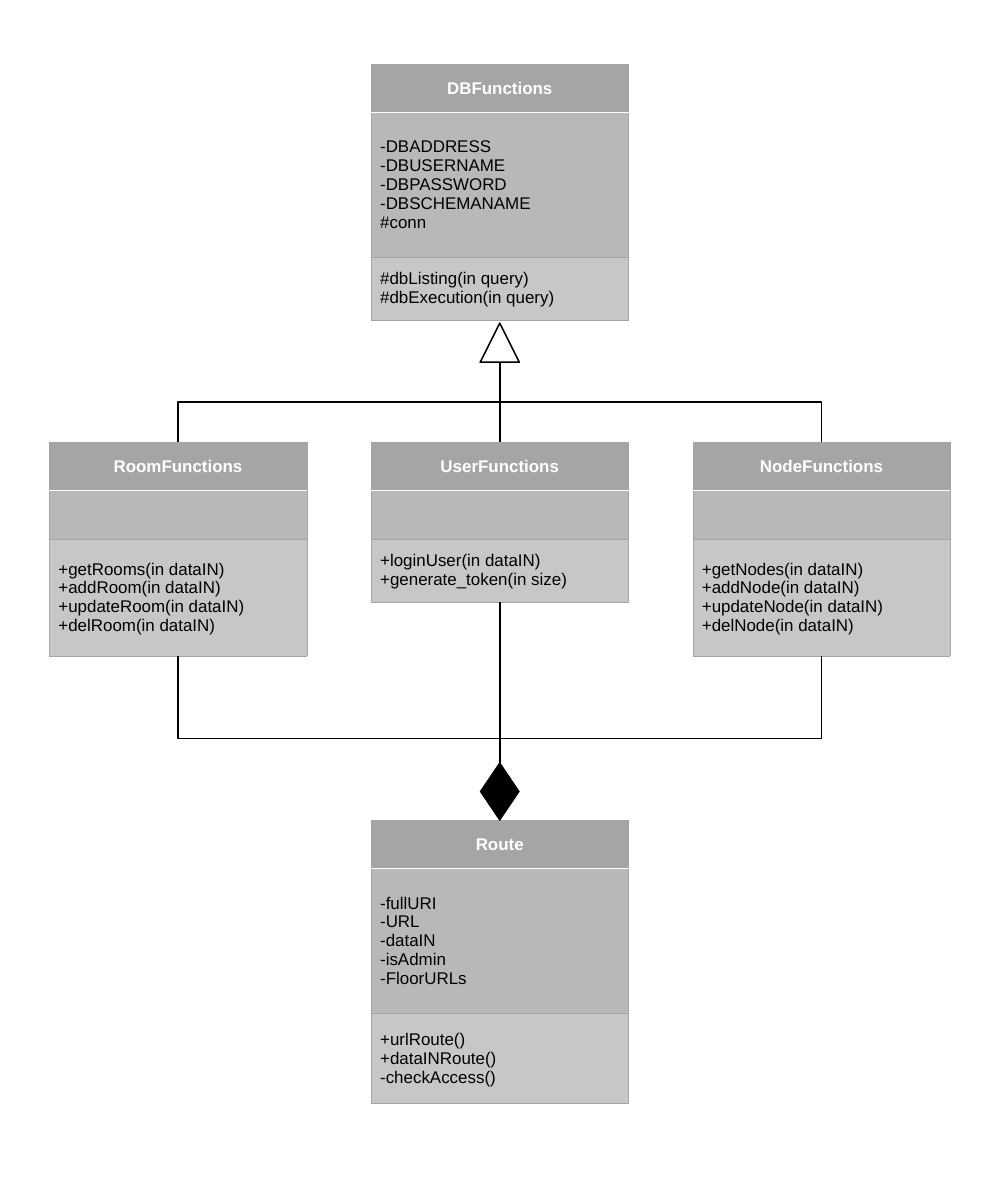
"""Draw the class diagram of a routing service and its database functions."""
from dataclasses import dataclass

from lxml.etree import SubElement
from pptx import Presentation
from pptx.dml.color import RGBColor
from pptx.enum.shapes import MSO_CONNECTOR as Link, MSO_SHAPE as Preset
from pptx.enum.text import MSO_ANCHOR as Anchor, PP_ALIGN as Align
from pptx.oxml import parse_xml
from pptx.oxml.ns import nsdecls, qn
from pptx.util import Inches, Pt


@dataclass(frozen=True)
class Theme:
    font: str = "Arial"
    size: float = 24
    header: str = "A5A5A5"
    attributes: str = "B8B8B8"
    methods: str = "C7C7C7"
    light: str = "FFFFFF"
    ink: str = "000000"
    border: float = 0.5
    divider: float = 1
    link: float = 2.25


@dataclass(frozen=True)
class Grid:
    width: float = 19.69
    height: float = 23.7
    left: float = 0.97
    top: float = 1.26
    column_step: float = 6.335
    row_step: float = 7.445
    box_width: float = 5.07
    header_height: float = 0.95
    line_height: float = 0.533
    padding: float = 0.18

    def center(self, column: int) -> float:
        return self.left + column * self.column_step + self.box_width / 2

    def row_top(self, row: int) -> float:
        return self.top + row * self.row_step

    def section_height(self, lines: tuple[str, ...]) -> float:
        return max(self.header_height, self.padding + self.line_height * len(lines))


@dataclass(frozen=True)
class ClassBox:
    name: str
    column: int
    row: int
    attributes: tuple[str, ...]
    methods: tuple[str, ...]

    def heights(self) -> list[float]:
        return [GRID.header_height, GRID.section_height(self.attributes),
                GRID.section_height(self.methods)]

    def top(self) -> float:
        return GRID.row_top(self.row)

    def bottom(self) -> float:
        return self.top() + sum(self.heights())


THEME = Theme()
GRID = Grid()
DATABASE = ClassBox("DBFunctions", 1, 0,
                    ("-DBADDRESS", "-DBUSERNAME", "-DBPASSWORD", "-DBSCHEMANAME", "#conn"),
                    ("#dbListing(in query)", "#dbExecution(in query)"))
ROOMS = ClassBox("RoomFunctions", 0, 1, (),
                 ("+getRooms(in dataIN)", "+addRoom(in dataIN)",
                  "+updateRoom(in dataIN)", "+delRoom(in dataIN)"))
USERS = ClassBox("UserFunctions", 1, 1, (),
                 ("+loginUser(in dataIN)", "+generate_token(in size)"))
NODES = ClassBox("NodeFunctions", 2, 1, (),
                 ("+getNodes(in dataIN)", "+addNode(in dataIN)",
                  "+updateNode(in dataIN)", "+delNode(in dataIN)"))
ROUTE = ClassBox("Route", 1, 2,
                 ("-fullURI", "-URL", "-dataIN", "-isAdmin", "-FloorURLs"),
                 ("+urlRoute()", "+dataINRoute()", "-checkAccess()"))
CHILDREN = (ROOMS, USERS, NODES)
TRIANGLE_TOP, MARK_WIDTH, TRIANGLE_HEIGHT, DIAMOND_HEIGHT = 6.36, 0.77, 0.77, 1.14


def color(code: str) -> RGBColor:
    return RGBColor.from_string(code)


def set_borders(cell, top: tuple[str, float], bottom: tuple[str, float]) -> None:
    side = (THEME.header, THEME.border)
    edges = {"lnL": side, "lnR": side, "lnT": top, "lnB": bottom}
    for place, (tag, (code, width)) in enumerate(edges.items()):
        edge = parse_xml(f'<a:{tag} {nsdecls("a")} w="{Pt(width)}"><a:solidFill>'
                         f'<a:srgbClr val="{code}"/></a:solidFill></a:{tag}>')
        cell._tc.get_or_add_tcPr().insert(place, edge)


def write_cell(cell, lines: tuple[str, ...], fill: str, is_header: bool) -> None:
    cell.fill.solid()
    cell.fill.fore_color.rgb = color(fill)
    cell.vertical_anchor = Anchor.MIDDLE
    cell.margin_left = cell.margin_right = Inches(0.18)
    cell.margin_top = cell.margin_bottom = Inches(0.09)
    frame = cell.text_frame
    for index, line in enumerate(lines):
        para = frame.add_paragraph() if index else frame.paragraphs[0]
        para.alignment = Align.CENTER if is_header else Align.LEFT
        run = para.add_run()
        run.text = line
        run.font.name, run.font.size = THEME.font, Pt(THEME.size)
        run.font.bold = is_header
        run.font.color.rgb = color(THEME.light if is_header else THEME.ink)


def draw_class(page, box: ClassBox) -> None:
    heights = box.heights()
    table = page.shapes.add_table(
        3, 1, Inches(GRID.center(box.column) - GRID.box_width / 2), Inches(box.top()),
        Inches(GRID.box_width), Inches(sum(heights))).table
    table.first_row = table.horz_banding = False
    plain, divider = (THEME.header, THEME.border), (THEME.light, THEME.divider)
    sections = (((box.name,), THEME.header, plain, divider),
                (box.attributes, THEME.attributes, divider, plain),
                (box.methods, THEME.methods, plain, plain))
    for index, (lines, fill, top, bottom) in enumerate(sections):
        table.rows[index].height = Inches(heights[index])
        cell = table.cell(index, 0)
        write_cell(cell, lines, fill, is_header=index == 0)
        set_borders(cell, top, bottom)


def draw_link(page, start: tuple[float, float], end: tuple[float, float]) -> None:
    (x1, y1), (x2, y2) = start, end
    straight, rightward = x1 == x2, x2 > x1
    if straight:
        ends = (x1, y1, x2, y2)
    else:
        middle_x, middle_y = (x1 + x2) / 2, (y1 + y2) / 2
        reach = (y2 - y1) / 2 * (-1 if rightward else 1)
        rise = abs(x2 - x1) / 2
        ends = (middle_x - reach, middle_y - rise, middle_x + reach, middle_y + rise)
    link = page.shapes.add_connector(Link.STRAIGHT if straight else Link.ELBOW,
                                     *map(Inches, ends))
    if not straight:
        turn = 270 if rightward else 90
        link._element.spPr.find(qn("a:xfrm")).set("rot", str(turn * 60000))
    link.line.color.rgb = color(THEME.ink)
    link.line.width = Pt(THEME.link)
    SubElement(link._element.spPr, qn("a:effectLst"))


def draw_mark(page, preset: Preset, top: float, height: float, filled: bool) -> None:
    mark = page.shapes.add_shape(
        preset, Inches(GRID.center(1) - MARK_WIDTH / 2), Inches(top),
        Inches(MARK_WIDTH), Inches(height))
    mark.shadow.inherit = False
    if filled:
        mark.fill.solid()
        mark.fill.fore_color.rgb = color(THEME.ink)
    else:
        mark.fill.background()
    mark.line.color.rgb = color(THEME.ink)
    mark.line.width = Pt(THEME.divider if filled else THEME.link)


def main() -> None:
    deck = Presentation()
    deck.slide_width, deck.slide_height = Inches(GRID.width), Inches(GRID.height)
    page = deck.slides.add_slide(deck.slide_layouts[6])
    for box in (DATABASE, *CHILDREN, ROUTE):
        draw_class(page, box)
    draw_mark(page, Preset.ISOSCELES_TRIANGLE, TRIANGLE_TOP, TRIANGLE_HEIGHT, filled=False)
    middle = GRID.center(1)
    for child in CHILDREN:
        center = GRID.center(child.column)
        draw_link(page, (middle, TRIANGLE_TOP + TRIANGLE_HEIGHT), (center, child.top()))
        nudge = 0.01 if child is USERS else 0
        draw_link(page, (center + nudge, child.bottom()), (middle, ROUTE.top()))
    draw_mark(page, Preset.DIAMOND, ROUTE.top() - DIAMOND_HEIGHT, DIAMOND_HEIGHT, filled=True)
    deck.save("out.pptx")


if __name__ == "__main__":
    main()
